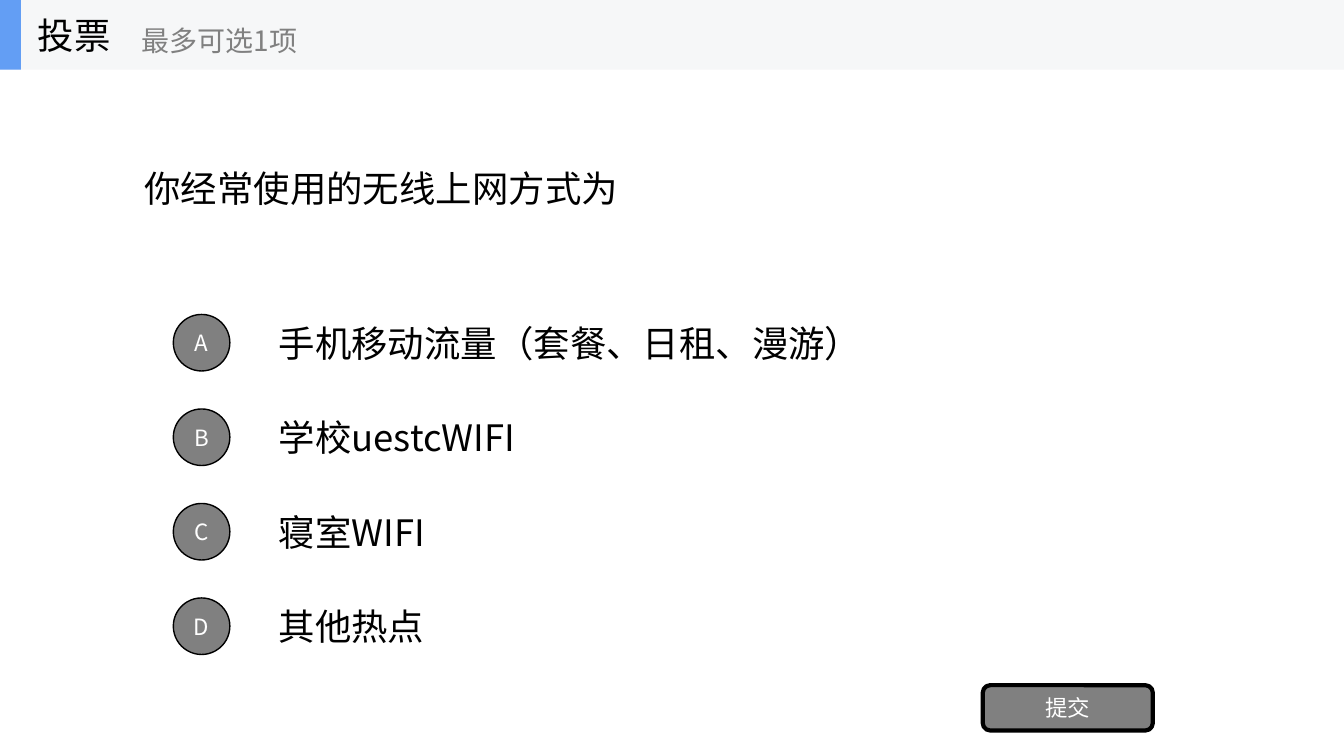
from pptx import Presentation
from pptx.dml.color import RGBColor
from pptx.enum.shapes import MSO_SHAPE
from pptx.enum.text import MSO_ANCHOR, MSO_AUTO_SIZE, PP_ALIGN
from pptx.oxml.ns import qn
from pptx.util import Pt
from lxml import etree

OVAL, RECTANGLE, ROUNDED = MSO_SHAPE.OVAL, MSO_SHAPE.RECTANGLE, MSO_SHAPE.ROUNDED_RECTANGLE
MIDDLE, LEFT, CENTER = MSO_ANCHOR.MIDDLE, PP_ALIGN.LEFT, PP_ALIGN.CENTER
FIXED_SIZE = MSO_AUTO_SIZE.NONE

# Content
HEADING = "投票"
HINT = "最多可选1项"
QUESTION = "你经常使用的无线上网方式为"
OPTIONS = [
    ("A", "手机移动流量（套餐、日租、漫游）"),
    ("B", "学校uestcWIFI"),
    ("C", "寝室WIFI"),
    ("D", "其他热点"),
]
SUBMIT = "提交"

THEME = {
    "font": "Noto Sans CJK SC",
    "text": "000000", "muted": "808080", "light": "FFFFFF",
    "band": "F6F7F8", "accent": "639EF4",
    "body": 26, "hint": 20, "button": 16,
}

# Layout in points
PAGE_WIDTH, PAGE_HEIGHT = 960, 540
BAND_HEIGHT = 49.8
QUESTION_AREA = (96, BAND_HEIGHT, 768, 168.5)
OPTION_LEFT, OPTION_TOP, OPTION_WIDTH, OPTION_HEIGHT = 192, 219.6, 672, 50.4
OPTION_STEP = 67.5
BADGE_LEFT, BADGE_SIZE = 123.8, 40.4


def color(name):
    return RGBColor.from_string(THEME[name])


def write(box, text, size="body", ink="text", align=LEFT):
    frame = box.text_frame
    frame_format = {"word_wrap": True, "auto_size": FIXED_SIZE, "vertical_anchor": MIDDLE}
    for name, value in frame_format.items():
        setattr(frame, name, value)
    para = frame.paragraphs[0]
    para.alignment = align
    span = para.add_run()
    span.text = text
    for name, value in {"size": Pt(THEME[size]), "name": THEME["font"], "bold": False}.items():
        setattr(span.font, name, value)
    span.font.color.rgb = color(ink)
    # East Asian typeface
    properties = span.font._element
    etree.SubElement(properties, qn("a:ea")).set("typeface", THEME["font"])


def add_text(page, area, text, **style):
    write(page.shapes.add_textbox(*map(Pt, area)), text, **style)


def add_block(page, kind, area, fill, line_width=0):
    block = page.shapes.add_shape(kind, *map(Pt, area))
    block.shadow.inherit = False
    block.fill.solid()
    block.fill.fore_color.rgb = color(fill)
    if line_width:
        block.line.color.rgb = color("text")
        block.line.width = Pt(line_width)
    else:
        block.line.fill.background()
    return block


def add_button(page, kind, area, line_width, text):
    button = add_block(page, kind, area, "muted", line_width)
    for side in ("left", "right", "top", "bottom"):
        setattr(button.text_frame, f"margin_{side}", 0)
    write(button, text, size="button", ink="light", align=CENTER)


def main():
    deck = Presentation()
    deck.slide_width, deck.slide_height = Pt(PAGE_WIDTH), Pt(PAGE_HEIGHT)
    page = deck.slides.add_slide(deck.slide_layouts[5])

    # Question
    title = page.shapes.title
    for name, value in zip(("left", "top", "width", "height"), QUESTION_AREA):
        setattr(title, name, Pt(value))
    write(title, QUESTION)

    # Options with letter badges
    for index, (letter, label) in enumerate(OPTIONS):
        top = OPTION_TOP + index * OPTION_STEP
        add_text(page, (OPTION_LEFT, top, OPTION_WIDTH, OPTION_HEIGHT), label)
        badge_top = top + (OPTION_HEIGHT - BADGE_SIZE) / 2
        add_button(page, OVAL, (BADGE_LEFT, badge_top, BADGE_SIZE, BADGE_SIZE), 1, letter)

    # Submit button
    add_button(page, ROUNDED, (702, 489.4, 121.5, 32.4), 3, SUBMIT)

    # Header band
    add_block(page, RECTANGLE, (0, 0, PAGE_WIDTH, BAND_HEIGHT), "band")
    add_block(page, RECTANGLE, (0, 0, 15, BAND_HEIGHT), "accent")
    add_text(page, (20, 0, 150, BAND_HEIGHT), HEADING)
    add_text(page, (94.2, 8.6, 180, 40.3), HINT, size="hint", ink="muted")

    deck.save("out.pptx")


if __name__ == "__main__":
    main()
